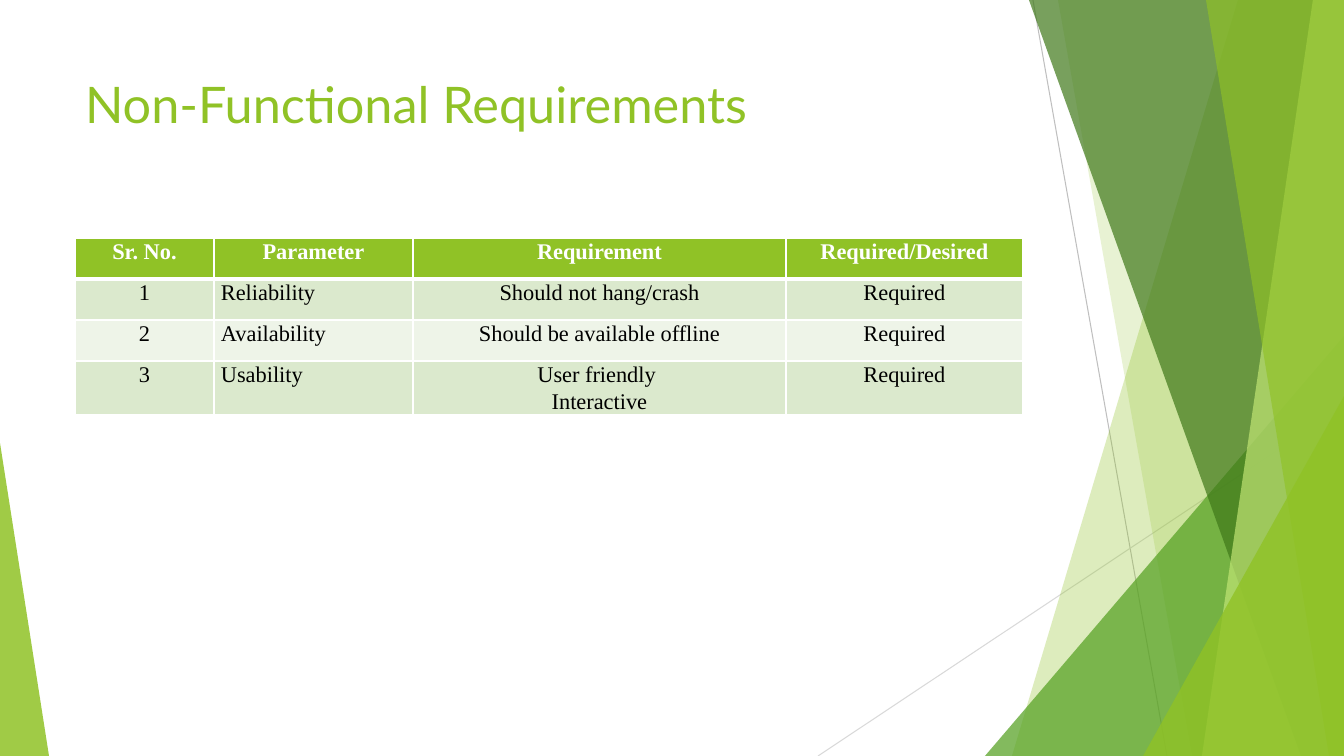
from lxml.etree import SubElement
from pptx import Presentation
from pptx.dml.color import RGBColor
from pptx.enum.shapes import MSO_CONNECTOR, MSO_SHAPE
from pptx.enum.text import MSO_ANCHOR, PP_ALIGN
from pptx.oxml.ns import qn
from pptx.util import Emu, Pt

SLIDE_W, SLIDE_H = 1344, 756
EMU_PER_PX = 914400 / 100.8

LIME = RGBColor(0x90, 0xC2, 0x26)
PALE_LIME = RGBColor(0xC0, 0xE4, 0x74)
GREEN = RGBColor(0x54, 0xA0, 0x21)
DARK_GREEN = RGBColor(0x3F, 0x78, 0x19)
ROW_TINT = RGBColor(0xDB, 0xE9, 0xCD)
ROW_LIGHT = RGBColor(0xEE, 0xF4, 0xE8)
GREY = RGBColor(0xBF, 0xBF, 0xBF)
LIGHT_GREY = RGBColor(0xD9, 0xD9, 0xD9)
WHITE = RGBColor(0xFF, 0xFF, 0xFF)
BLACK = RGBColor(0, 0, 0)

TITLE = "Non-Functional Requirements"
TITLE_BOX = (75, 68, 948, 145)

REQUIREMENTS = [
    ("Sr. No.", "Parameter", "Requirement", "Required/Desired"),
    ("1", "Reliability", "Should not hang/crash", "Required"),
    ("2", "Availability", "Should be available offline", "Required"),
    ("3", "Usability", "User friendly \nInteractive", "Required"),
]
TABLE_LEFT, TABLE_TOP = 75, 238
COLUMN_WIDTHS = (139, 199, 373, 237)
ROW_HEIGHTS = (41, 41, 41, 52)
PARAMETER_COLUMN = 1

# x1, y1, x2, y2, colour
HAIRLINES = [
    (1033, 0, 1167, SLIDE_H, GREY),
    (SLIDE_W, 406, 818, SLIDE_H, LIGHT_GREY),
]
# Panels reach the right edge: "panel", top x, bottom x, colour, opacity %
# Triangles stand on the bottom edge: "triangle", left, top, width, apex, colour, opacity %
FACETS = [
    ("panel", 1238, 1012, LIME, 30),
    ("panel", 1058, 1192, LIME, 20),
    ("triangle", 985, 336, 359, 1, GREEN, 72),
    ("panel", 1029, 1301, DARK_GREEN, 70),
    ("panel", 1313, 1202, PALE_LIME, 70),
    ("panel", 1206, 1329, LIME, 65),
    ("triangle", 1143, 396, 201, 1, LIME, 80),
    ("triangle", 0, 443, 49, 0, LIME, 85),
]


def px(*lengths):
    return [Emu(round(length * EMU_PER_PX)) for length in lengths]


def add_hairline(shapes, x1, y1, x2, y2, colour):
    hairline = shapes.add_connector(MSO_CONNECTOR.STRAIGHT, *px(x1, y1, x2, y2))
    hairline.line.color.rgb = colour
    hairline.line.width = Pt(0.75)
    SubElement(hairline._element.spPr, qn("a:effectLst"))


def add_panel(shapes, top_x, bottom_x):
    outline = shapes.build_freeform(top_x, 0, scale=EMU_PER_PX)
    outline.add_line_segments(
        [(SLIDE_W, 0), (SLIDE_W, SLIDE_H), (bottom_x, SLIDE_H)], close=True)
    return outline.convert_to_shape()


def add_triangle(shapes, left, top, width, apex):
    triangle = shapes.add_shape(
        MSO_SHAPE.ISOSCELES_TRIANGLE, *px(left, top, width, SLIDE_H - top))
    triangle.adjustments[0] = apex
    return triangle


def add_facet(shapes, kind, *details):
    *geometry, colour, opacity = details
    build = {"panel": add_panel, "triangle": add_triangle}[kind]
    facet = build(shapes, *geometry)
    facet.shadow.inherit = False
    facet.line.fill.background()
    facet.fill.solid()
    facet.fill.fore_color.rgb = colour
    rgb = facet._element.spPr.find(qn("a:solidFill")).find(qn("a:srgbClr"))
    SubElement(rgb, qn("a:alpha"), val=str(opacity * 1000))


def format_title(title):
    title.left, title.top, title.width, title.height = px(*TITLE_BOX)
    frame = title.text_frame
    frame.text = TITLE
    frame.vertical_anchor = MSO_ANCHOR.TOP
    frame.paragraphs[0].alignment = PP_ALIGN.LEFT
    font = frame.paragraphs[0].runs[0].font
    font.name, font.size, font.color.rgb = "Lato", Pt(36), LIME


def add_borders(cell, row):
    """White 1 pt rules, with 3 pt under the header row."""
    points = {"L": 1, "R": 1, "T": 3 if row == 1 else 1, "B": 3 if row == 0 else 1}
    properties = cell._tc.get_or_add_tcPr()
    for side, width in points.items():
        border = SubElement(properties, qn(f"a:ln{side}"), w=str(Pt(width)))
        fill = SubElement(border, qn("a:solidFill"))
        SubElement(fill, qn("a:srgbClr"), val=str(WHITE))


def format_cell(cell, text, row, column):
    is_header = row == 0
    add_borders(cell, row)
    cell.fill.solid()
    cell.fill.fore_color.rgb = LIME if is_header else (ROW_LIGHT, ROW_TINT)[row % 2]
    cell.margin_left, cell.margin_right = px(7, 7)
    cell.margin_top = cell.margin_bottom = 0
    cell.text_frame.text = text
    is_left = column == PARAMETER_COLUMN and not is_header
    paragraphs = cell.text_frame.paragraphs
    for paragraph in paragraphs:
        paragraph.alignment = PP_ALIGN.LEFT if is_left else PP_ALIGN.CENTER
        paragraph.line_spacing = 1.07
        paragraph.space_before = Pt(12 if len(paragraphs) == 1 else 0)
        font = paragraph.runs[0].font
        font.name, font.size, font.bold = "Times New Roman", Pt(16), is_header
        font.color.rgb = WHITE if is_header else BLACK


def add_requirements(shapes):
    box = px(TABLE_LEFT, TABLE_TOP, sum(COLUMN_WIDTHS), sum(ROW_HEIGHTS))
    table = shapes.add_table(len(REQUIREMENTS), len(COLUMN_WIDTHS), *box).table
    for column, width in zip(table.columns, px(*COLUMN_WIDTHS)):
        column.width = width
    for row, height in zip(table.rows, px(*ROW_HEIGHTS)):
        row.height = height
    for r, texts in enumerate(REQUIREMENTS):
        for c, text in enumerate(texts):
            format_cell(table.cell(r, c), text, r, c)


def main():
    deck = Presentation()
    deck.slide_width, deck.slide_height = px(SLIDE_W, SLIDE_H)
    slide = deck.slides.add_slide(deck.slide_layouts[5])
    for hairline in HAIRLINES:
        add_hairline(slide.shapes, *hairline)
    for facet in FACETS:
        add_facet(slide.shapes, *facet)
    format_title(slide.shapes.title)
    add_requirements(slide.shapes)
    deck.save("out.pptx")


if __name__ == "__main__":
    main()
